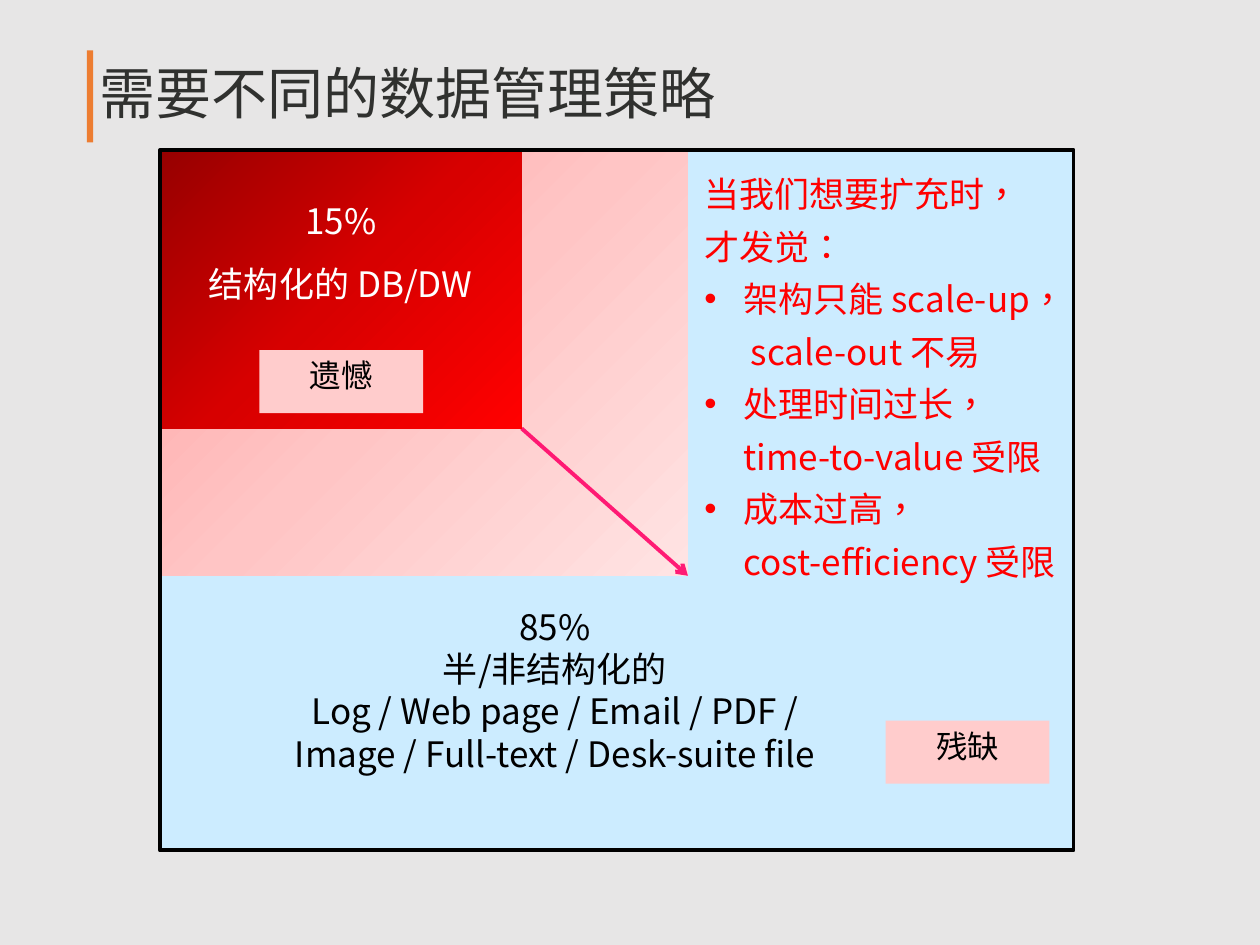
from copy import deepcopy
from dataclasses import dataclass

from lxml.etree import SubElement
from pptx import Presentation
from pptx.dml.color import RGBColor
from pptx.enum.shapes import MSO_CONNECTOR, MSO_SHAPE
from pptx.enum.text import MSO_ANCHOR, MSO_AUTO_SIZE, PP_ALIGN
from pptx.oxml.ns import qn
from pptx.util import Inches, Pt


@dataclass(frozen=True)
class Theme:
    font: str = "Noto Sans CJK SC"
    label_font: str = "Arial"
    title_size: int = 32
    body_size: int = 20
    label_size: int = 18
    background: str = "E7E6E6"
    accent: str = "ED7D31"
    title: str = "30312F"
    panel: str = "CCECFF"
    label: str = "FFCCCC"
    warning: str = "FF0000"
    arrow: str = "FF0066"
    black: str = "000000"
    white: str = "FFFFFF"
    pale_reds: tuple = ("FFA0A0", "FFC5C5", "FFE3E3")
    deep_reds: tuple = ("970000", "D70000", "FF0000")


@dataclass(frozen=True)
class Box:
    left: float
    top: float
    width: float
    height: float

    def lengths(self) -> tuple:
        return tuple(map(Inches, (self.left, self.top, self.width, self.height)))


@dataclass(frozen=True)
class Problem:
    text: str
    indent: float = 0
    bullet: bool = False


THEME = Theme()
HANG = 0.31
PANEL = Box(1.27, 1.19, 7.25, 5.56)
EXPANSION = Box(1.27, 1.19, 4.19, 3.38)
STRUCTURED = Box(1.27, 1.2, 2.87, 2.2)
UNSTRUCTURED = Box(1.97, 4.76, 4.87, 1.45)
LABELS = {"遗憾": Box(2.06, 2.78, 1.3, 0.5), "残缺": Box(7.03, 5.72, 1.3, 0.5)}
PROBLEMS = [
    Problem("当我们想要扩充时，"),
    Problem("才发觉："),
    Problem("架构只能 scale-up，", HANG, True),
    Problem("scale-out 不易", 0.37),
    Problem("处理时间过长，", HANG, True),
    Problem("time-to-value 受限", HANG),
    Problem("成本过高，", HANG, True),
    Problem("cost-efficiency 受限", HANG),
]


def rgb(value: str) -> RGBColor:
    return RGBColor.from_string(value)


def format_text(frame, size: int, color: str, align=PP_ALIGN.LEFT, after: float = 0,
                font: str = THEME.font, spacing: float = 1.0, language: str = "zh-CN") -> None:
    frame.word_wrap = True
    frame.auto_size = MSO_AUTO_SIZE.NONE
    for paragraph in frame.paragraphs:
        paragraph.alignment = align
        paragraph.line_spacing = spacing
        paragraph.space_before = Pt(0)
        paragraph.space_after = Pt(after)
        for run in paragraph.runs:
            run.font.size = Pt(size)
            run.font.name = font
            run.font.color.rgb = rgb(color)
            run.font._element.set("lang", language)
            SubElement(run.font._element, qn("a:ea"), typeface=THEME.font)


def add_block(slide, box: Box, fill: str | None = None):
    block = slide.shapes.add_shape(MSO_SHAPE.RECTANGLE, *box.lengths())
    block.shadow.inherit = False
    block.line.fill.background()
    block.text_frame.vertical_anchor = MSO_ANCHOR.TOP
    if fill:
        block.fill.solid()
        block.fill.fore_color.rgb = rgb(fill)
    else:
        block.fill.background()
    return block


def fill_diagonally(block, colors: tuple) -> None:
    """Fill from top left to bottom right with three even stops."""
    block.fill.gradient()
    block.fill.gradient_angle = 315
    first = block._element.spPr.find(".//" + qn("a:gs"))
    first.addnext(deepcopy(first))
    for index, stop in enumerate(block.fill.gradient_stops):
        stop.position = index / 2
        stop.color.rgb = rgb(colors[index])


def add_arrow(slide, start: tuple, end: tuple) -> None:
    arrow = slide.shapes.add_connector(
        MSO_CONNECTOR.STRAIGHT, *map(Inches, start + end))
    arrow.line.color.rgb = rgb(THEME.arrow)
    arrow.line.width = Pt(2.25)
    line = arrow.line._ln
    SubElement(line.find(".//" + qn("a:srgbClr")), qn("a:alpha"), val="87000")
    SubElement(line, qn("a:tailEnd"), type="arrow")
    SubElement(arrow._element.spPr, qn("a:effectLst"))


def place(placeholder, box: Box) -> None:
    (placeholder.left, placeholder.top,
     placeholder.width, placeholder.height) = box.lengths()


def write_title(slide) -> None:
    title = slide.shapes.title
    place(title, Box(0.69, 0.4, 8.62, 0.73))
    title.text_frame.text = "需要不同的数据管理策略"
    title.text_frame.vertical_anchor = MSO_ANCHOR.MIDDLE
    format_text(title.text_frame, THEME.title_size, THEME.title, spacing=0.9)


def write_problems(slide) -> None:
    body = slide.placeholders[1]
    place(body, Box(5.49, 1.32, 3.19, 3.38))
    frame = body.text_frame
    frame.vertical_anchor = MSO_ANCHOR.TOP
    frame.text = "\n".join(problem.text for problem in PROBLEMS)
    for paragraph, problem in zip(frame.paragraphs, PROBLEMS):
        properties = paragraph._p.get_or_add_pPr()
        properties.set("marL", str(Inches(problem.indent)))
        properties.set("indent", str(Inches(-HANG if problem.bullet else 0)))
        if problem.bullet:
            SubElement(properties, qn("a:buFont"), typeface="Arial")
            SubElement(properties, qn("a:buChar"), char="•")
        else:
            SubElement(properties, qn("a:buNone"))
    # Taiwanese typesetting centres the full-width punctuation
    format_text(frame, THEME.body_size, THEME.warning, after=6, language="zh-TW")
    slide.shapes._spTree.append(body._element)  # in front of the panel


def main() -> None:
    presentation = Presentation()
    presentation.slide_width, presentation.slide_height = Inches(10), Inches(7.5)
    slide = presentation.slides.add_slide(presentation.slide_layouts[1])
    slide.background.fill.solid()
    slide.background.fill.fore_color.rgb = rgb(THEME.background)

    add_block(slide, Box(0.69, 0.4, 0.05, 0.73), THEME.accent)
    write_title(slide)
    add_block(slide, PANEL, THEME.panel)

    unstructured = add_block(slide, UNSTRUCTURED, THEME.panel).text_frame
    unstructured.text = ("85%\n半/非结构化的\n"
                         "Log / Web page / Email / PDF / Image / Full-text / Desk-suite file")
    format_text(unstructured, THEME.body_size, THEME.black, PP_ALIGN.CENTER)

    fill_diagonally(add_block(slide, EXPANSION), THEME.pale_reds)
    add_arrow(slide, (4.14, 3.4), (5.46, 4.57))
    write_problems(slide)

    structured = add_block(slide, STRUCTURED)
    fill_diagonally(structured, THEME.deep_reds)
    structured.text_frame.margin_top = Inches(0.38)
    structured.text_frame.text = "15%\n结构化的 DB/DW"
    format_text(structured.text_frame, THEME.body_size, THEME.white,
                PP_ALIGN.CENTER, after=12)

    border = add_block(slide, PANEL)
    border.line.color.rgb = rgb(THEME.black)
    border.line.width = Pt(2.25)

    for text, box in LABELS.items():
        label = add_block(slide, box, THEME.label).text_frame
        label.text = text
        format_text(label, THEME.label_size, THEME.black, PP_ALIGN.CENTER,
                    font=THEME.label_font)

    presentation.save("out.pptx")


if __name__ == "__main__":
    main()
